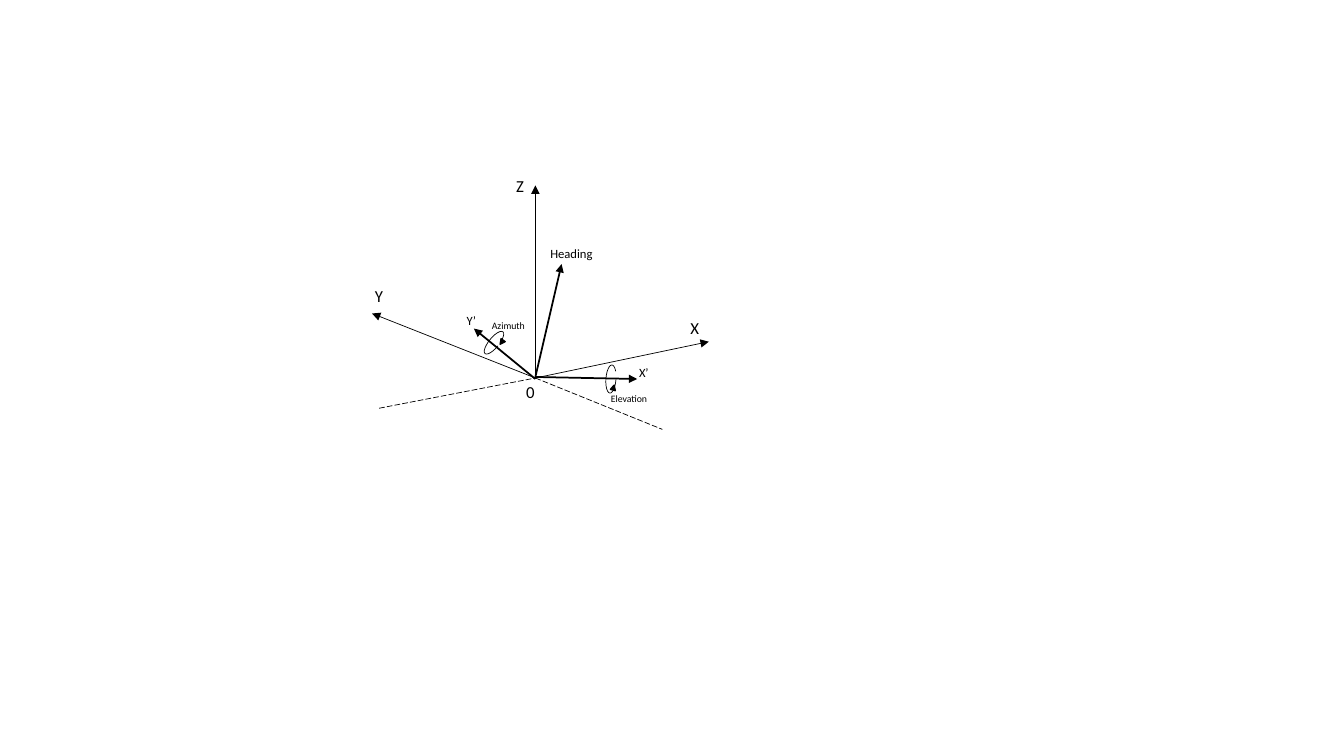
from typing import NamedTuple

from lxml import etree
from pptx import Presentation
from pptx.dml.color import RGBColor
from pptx.enum import dml, shapes, text
from pptx.oxml import ns
from pptx.util import Inches, Pt

BLACK = "000000"
THIN, BOLD = 0.5, 1.25


class Axis(NamedTuple):
    start: tuple[float, float]
    end: tuple[float, float]
    width: float = THIN
    dashed: bool = False


class Label(NamedTuple):
    words: str
    left: float
    top: float
    width: float
    height: float
    size: int


class Turn(NamedTuple):
    """A rotation mark: an arc with a small triangle as its arrowhead."""
    arc_at: tuple[float, float]
    arc_angle: float
    tip_at: tuple[float, float]
    tip_angle: float


ORIGIN = (5.31, 3.75)
AXES = [
    Axis(ORIGIN, (7.03, 3.39)),
    Axis(ORIGIN, (5.31, 1.84)),
    Axis(ORIGIN, (3.69, 3.11)),
    Axis((3.76, 4.05), ORIGIN, dashed=True),
    Axis(ORIGIN, (6.57, 4.26), dashed=True),
    Axis((5.31, 3.74), (5.57, 2.62), BOLD),
    Axis((5.31, 3.74), (6.32, 3.76), BOLD),
    Axis((5.31, 3.76), (4.7, 3.26), BOLD),
]
TURNS = [
    Turn((4.76, 3.35), 309.2, (4.95, 3.37), 215.8),
    Turn((5.92, 3.71), 274.2, (6.06, 3.82), 14.3),
]
LABELS = [
    Label("Z", 5.02, 1.69, 0.28, 0.3, 12),
    Label("Y", 3.62, 2.79, 0.28, 0.3, 12),
    Label("X", 6.75, 3.1, 0.29, 0.3, 12),
    Label("0", 5.12, 3.74, 0.29, 0.3, 12),
    Label("Heading", 5.36, 2.39, 0.63, 0.25, 9),
    Label("X’", 6.24, 3.57, 0.3, 0.25, 9),
    Label("Y’", 4.53, 3.05, 0.29, 0.25, 9),
    Label("Elevation", 5.96, 3.85, 0.57, 0.22, 7),
    Label("Azimuth", 4.78, 3.12, 0.53, 0.22, 7),
]
ARC_SWEEP = (88.99, 27.04)  # start and end, degrees
ARC_UNIT = 0.6              # adjustment value per degree


def color(hex_value: str) -> RGBColor:
    return RGBColor.from_string(hex_value)


def set_line(line, width: float) -> None:
    line.color.rgb = color(BLACK)
    line.width = Pt(width)


def draw_axis(slide, axis: Axis) -> None:
    points = [Inches(v) for v in (*axis.start, *axis.end)]
    sp = slide.shapes.add_connector(shapes.MSO_CONNECTOR.STRAIGHT, *points)
    set_line(sp.line, axis.width)
    if axis.dashed:
        sp.line.dash_style = dml.MSO_LINE.LONG_DASH
    else:
        etree.SubElement(sp.line._get_or_add_ln(), ns.qn("a:tailEnd"), type="triangle")
    etree.SubElement(sp._element.spPr, ns.qn("a:effectLst"))


def add_mark(group, kind, at: tuple[float, float], size: tuple[float, float],
             angle: float, width: float):
    sp = group.shapes.add_shape(kind, *(Inches(v) for v in (*at, *size)))
    sp.rotation = angle
    sp.shadow.inherit = False
    set_line(sp.line, width)
    return sp


def draw_turn(slide, turn: Turn) -> None:
    group = slide.shapes.add_group_shape()
    arc = add_mark(group, shapes.MSO_SHAPE.ARC, turn.arc_at, (0.28, 0.1),
                   turn.arc_angle, THIN)
    arc.fill.background()
    for i, degrees in enumerate(ARC_SWEEP):
        arc.adjustments[i] = degrees * ARC_UNIT
    tip = add_mark(group, shapes.MSO_SHAPE.ISOSCELES_TRIANGLE, turn.tip_at,
                   (0.05, 0.05), turn.tip_angle, 1)
    tip.fill.solid()
    tip.fill.fore_color.rgb = color(BLACK)


def draw_label(slide, label: Label) -> None:
    box = (label.left, label.top, label.width, label.height)
    tf = slide.shapes.add_textbox(*(Inches(v) for v in box)).text_frame
    tf.word_wrap = False
    tf.auto_size = text.MSO_AUTO_SIZE.SHAPE_TO_FIT_TEXT
    r = tf.paragraphs[0].add_run()
    r.text = label.words
    for name, value in {"name": "Calibri", "size": Pt(label.size)}.items():
        setattr(r.font, name, value)
    r.font.color.rgb = color(BLACK)


prs = Presentation()
prs.slide_width, prs.slide_height = Inches(13.33), Inches(7.5)
slide = prs.slides.add_slide(prs.slide_layouts[6])

# Fixed axes, their dashed extensions and the turned axes
for axis in AXES:
    draw_axis(slide, axis)

# Rotation marks
for turn in TURNS:
    draw_turn(slide, turn)

# Names
for label in LABELS:
    draw_label(slide, label)

prs.save("out.pptx")
